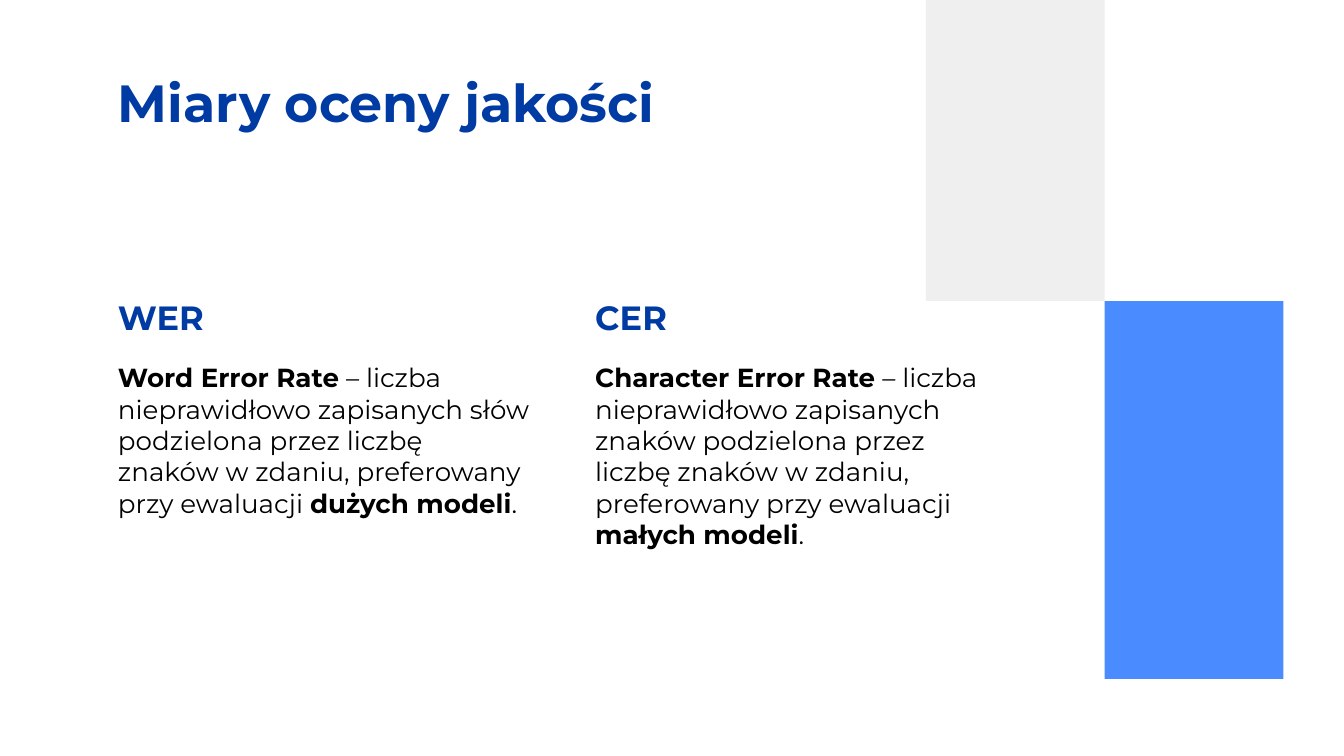
"""Build a slide that compares the WER and CER quality measures."""
from pptx import Presentation
from pptx.dml.color import RGBColor
from pptx.enum.shapes import MSO_SHAPE
from pptx.enum.text import MSO_ANCHOR
from pptx.util import Inches, Pt

NAVY = RGBColor(0x00, 0x3B, 0xA3)
BLACK = RGBColor(0x00, 0x00, 0x00)
BLUE = RGBColor(0x4A, 0x8C, 0xFF)
GREY = RGBColor(0xEF, 0xEF, 0xEF)
FONT = "Montserrat"

TITLE = "Miary oceny jakości"
MEASURES = [
    ("WER", [
        ("Word Error Rate", True),
        (" – liczba nieprawidłowo zapisanych słów podzielona przez liczbę "
         "znaków w zdaniu, preferowany przy ewaluacji ", False),
        ("dużych modeli", True),
        (".", False),
    ]),
    ("CER", [
        ("Character Error Rate", True),
        (" – liczba nieprawidłowo zapisanych znaków podzielona przez liczbę "
         "znaków w zdaniu, preferowany przy ewaluacji ", False),
        ("małych modeli", True),
        (".", False),
    ]),
]

WIDTH = 10
HEIGHT = WIDTH * 9 / 16
MARGIN = 0.78
COLUMN_STEP = 3.55
COLUMN_WIDTH = COLUMN_STEP * 0.92
HEADING_TOP, BODY_TOP = 2.11, 2.59
BLOCK_LEFT, BLOCK_WIDTH, BLOCK_SPLIT = 6.89, 1.33, 2.24
BLOCKS = [(BLUE, 1, BLOCK_SPLIT, HEIGHT / 2), (GREY, 0, 0, BLOCK_SPLIT)]


def add_text(page, spans, *, left, top, width, height, size, color):
    box = page.shapes.add_textbox(*map(Inches, (left, top, width, height)))
    frame = box.text_frame
    frame.word_wrap = True
    frame.vertical_anchor = MSO_ANCHOR.TOP
    frame.margin_left = frame.margin_right = Inches(0.1)
    frame.margin_top = frame.margin_bottom = Inches(0.1)
    paragraph = frame.paragraphs[0]
    for text, bold in spans:
        span = paragraph.add_run()
        span.text = text
        span.font.name = FONT
        span.font.size = Pt(size)
        span.font.bold = bold
        span.font.color.rgb = color


def add_block(page, color, column, top, height):
    left = BLOCK_LEFT + column * BLOCK_WIDTH
    block = page.shapes.add_shape(
        MSO_SHAPE.RECTANGLE, *map(Inches, (left, top, BLOCK_WIDTH, height)))
    block.shadow.inherit = False
    block.fill.solid()
    block.fill.fore_color.rgb = color
    block.line.fill.background()


def main():
    deck = Presentation()
    deck.slide_width, deck.slide_height = Inches(WIDTH), Inches(HEIGHT)
    page = deck.slides.add_slide(deck.slide_layouts[6])

    add_text(page, [(TITLE, True)], left=MARGIN, top=0.42,
             width=WIDTH - 2 * MARGIN, height=0.63, size=28, color=NAVY)
    for column, (heading, definition) in enumerate(MEASURES):
        left = MARGIN + column * COLUMN_STEP
        add_text(page, definition, left=left, top=BODY_TOP,
                 width=COLUMN_WIDTH, height=1.4, size=14, color=BLACK)
        add_text(page, [(heading, True)], left=left, top=HEADING_TOP,
                 width=COLUMN_WIDTH, height=0.51, size=18, color=NAVY)
    for block in BLOCKS:
        add_block(page, *block)

    deck.save("out.pptx")


if __name__ == "__main__":
    main()
